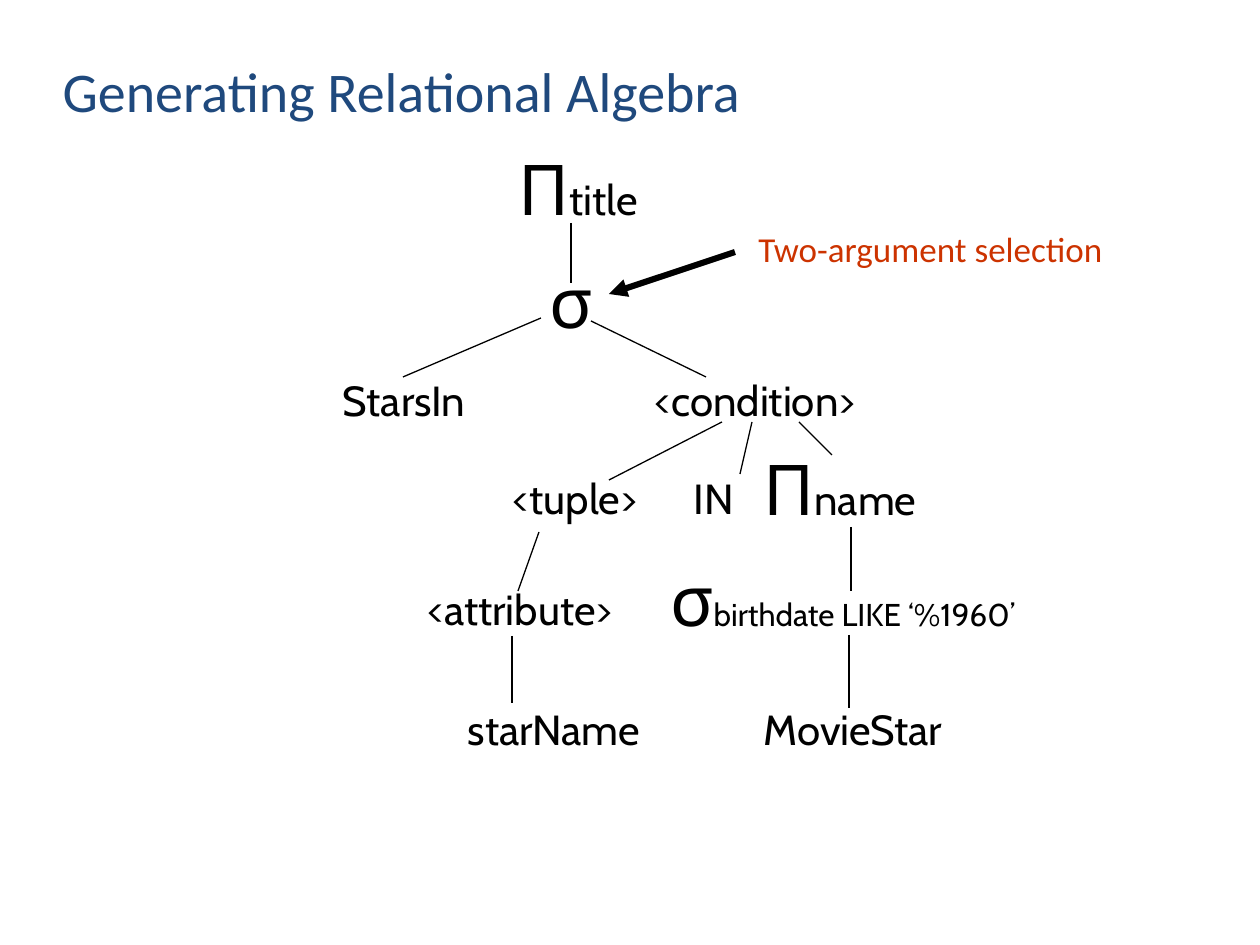
"""Build the slide that shows a relational algebra expression tree."""
from typing import NamedTuple

from lxml.etree import SubElement
from pptx import Presentation
from pptx.dml.color import RGBColor
from pptx.enum.shapes import MSO_CONNECTOR
from pptx.enum.text import MSO_ANCHOR, MSO_AUTO_SIZE, PP_ALIGN
from pptx.oxml.ns import qn
from pptx.util import Pt

PX = 914400 / 126
COLORS = {"title": "1F497D", "ink": "000000", "note": "CC3300"}
BIG, MEDIUM, SMALL = 40, 24, 18


class Node(NamedTuple):
    x: int
    y: int
    width: int
    runs: list[tuple[str, int]]


class Edge(NamedTuple):
    x1: int
    y1: int
    x2: int
    y2: int


NODES = [
    Node(578, 187, 148, [("Π", BIG), ("title", MEDIUM)]),
    Node(571, 300, 68, [("σ", BIG)]),
    Node(404, 399, 146, [("StarsIn", MEDIUM)]),
    Node(755, 399, 224, [("<condition>", MEDIUM)]),
    Node(575, 497, 148, [("<tuple>", MEDIUM)]),
    Node(714, 497, 66, [("IN", MEDIUM)]),
    Node(840, 487, 176, [("Π", BIG), ("name", MEDIUM)]),
    Node(520, 608, 208, [("<attribute>", MEDIUM)]),
    Node(843, 598, 370, [("σ", BIG), ("birthdate LIKE ‘%1960’", SMALL)]),
    Node(554, 728, 196, [("starName", MEDIUM)]),
    Node(853, 728, 204, [("MovieStar", MEDIUM)]),
]
EDGES = [
    Edge(571, 223, 571, 283),
    Edge(541, 318, 403, 377),
    Edge(591, 321, 706, 377),
    Edge(722, 422, 609, 480),
    Edge(752, 422, 740, 474),
    Edge(799, 422, 832, 455),
    Edge(539, 532, 518, 591),
    Edge(512, 636, 512, 703),
    Edge(851, 527, 851, 591),
    Edge(849, 635, 849, 708),
]


def px(value: float) -> int:
    """Turn px into EMU."""
    return round(value * PX)


def write(sp, runs: list[tuple[str, int]], *, font: str = "Cabin", color: str = "ink",
          align=PP_ALIGN.CENTER, wrap: bool = False) -> None:
    """Fill a shape with one paragraph of sized runs."""
    tf = sp.text_frame
    tf.word_wrap = wrap
    tf.auto_size = MSO_AUTO_SIZE.NONE
    tf.vertical_anchor = MSO_ANCHOR.MIDDLE
    p = tf.paragraphs[0]
    p.alignment = align
    for text, size in runs:
        r = p.add_run()
        r.text = text
        r.font.name = font
        r.font.size = Pt(size)
        r.font.color.rgb = RGBColor.from_string(COLORS[color])


def add_box(s, x: int, y: int, width: int, height: int):
    """Add an empty text box."""
    return s.shapes.add_textbox(px(x), px(y), px(width), px(height))


def add_node(s, node: Node) -> None:
    """Add a tree node centred on its point."""
    height = 97 if node.runs[0][1] == BIG else 63
    sp = add_box(s, node.x - node.width // 2, node.y - height // 2, node.width, height)
    write(sp, node.runs)


def add_edge(s, edge: Edge, weight: float = 0.75, arrow: bool = False) -> None:
    """Add a straight line, with an arrowhead at its end if asked."""
    sp = s.shapes.add_connector(MSO_CONNECTOR.STRAIGHT, *map(px, edge))
    sp.line.width = Pt(weight)
    sp.line.color.rgb = RGBColor.from_string(COLORS["ink"])
    if arrow:
        SubElement(sp.line._get_or_add_ln(), qn("a:tailEnd"), type="triangle")
    SubElement(sp._element.spPr, qn("a:effectLst"))


def main() -> None:
    """Build and save the slide."""
    prs = Presentation()
    prs.slide_width, prs.slide_height = px(1260), px(945)
    s = prs.slides.add_slide(prs.slide_layouts[5])
    title = s.shapes.title
    title.left, title.top, title.width, title.height = map(px, (50, 29, 1154, 122))
    write(title, [("Generating Relational Algebra", 32)], font="Calibri",
          color="title", align=PP_ALIGN.LEFT, wrap=True)
    for node in NODES:
        add_node(s, node)
    for edge in EDGES:
        add_edge(s, edge)
    write(add_box(s, 746, 221, 398, 54), [("Two-argument selection", 20)],
          font="Calibri", color="note", align=PP_ALIGN.LEFT)
    add_edge(s, Edge(735, 252, 609, 294), weight=3.5, arrow=True)
    prs.save("out.pptx")


if __name__ == "__main__":
    main()
